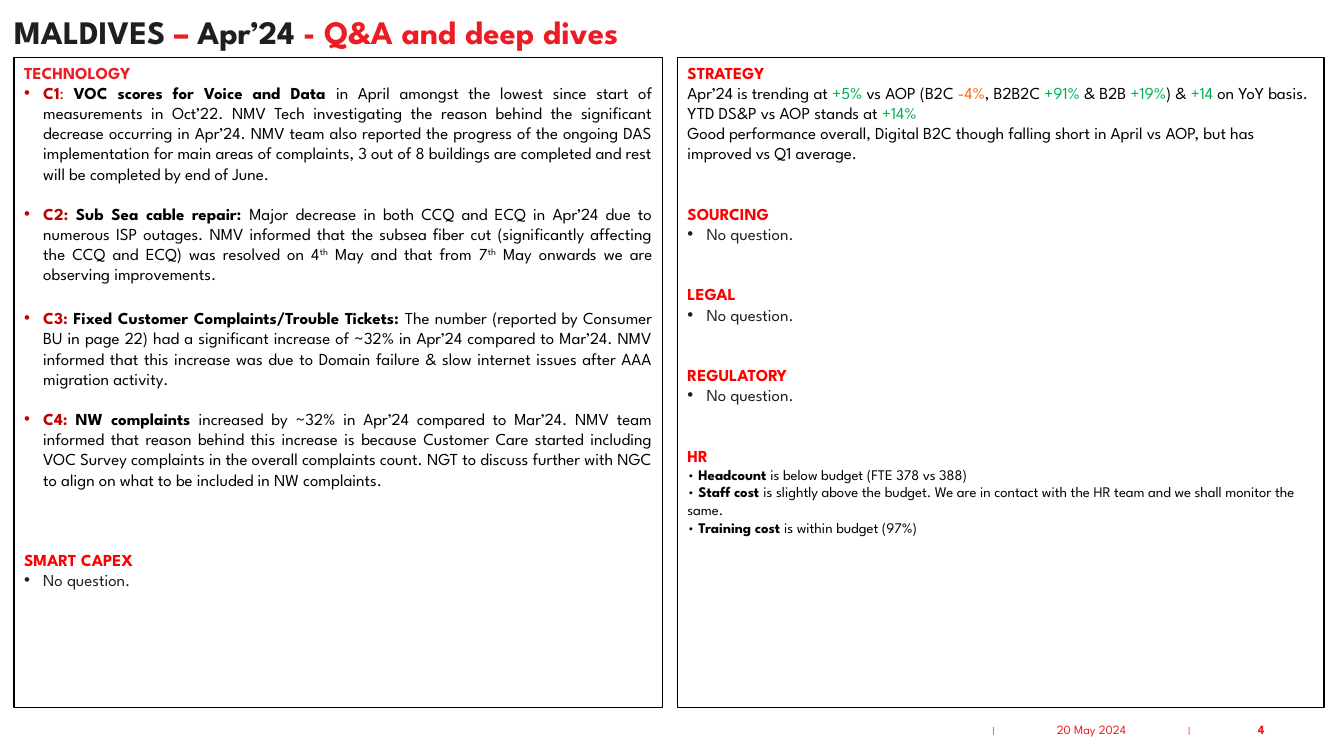
"""Build the Maldives questions and deep dives slide."""
from dataclasses import dataclass

from lxml.etree import SubElement
from pptx import Presentation
from pptx.dml.color import RGBColor
from pptx.enum.shapes import MSO_SHAPE
from pptx.enum.text import MSO_ANCHOR, PP_ALIGN
from pptx.oxml.ns import qn
from pptx.util import Inches, Pt


@dataclass(frozen=True)
class Theme:
    font: str = "League Spartan"
    plain: str = "Arial"
    white: str = "FFFFFF"
    black: str = "000000"
    ink: str = "221E20"
    brand: str = "ED1C24"
    red: str = "FF0000"
    dark: str = "C00000"
    green: str = "00B050"
    orange: str = "FF6600"
    title: float = 23.4
    body: float = 12
    small: float = 10.5
    foot: float = 9
    tick: float = 6
    line: float = 14.4
    border: float = 1.25
    indent: float = 0.19


class Page:
    def __init__(self, deck, theme):
        self.deck, self.theme = deck, theme
        self.slide = deck.slides.add_slide(deck.slide_layouts[6])

    def place(self, left, top, width, height):
        wide, high = self.deck.slide_width / 100, self.deck.slide_height / 100
        return [int(share * unit) for share, unit in
                zip((left, top, width, height), (wide, high, wide, high))]

    def fill_text(self, para, runs, size, font=None):
        for text, color, *marks in runs:
            run = para.add_run()
            run.text = text
            run.font.name = font or self.theme.font
            run.font.size = Pt(size)
            run.font.bold = "bold" in marks
            run.font.color.rgb = RGBColor.from_string(color)
            if "super" in marks:
                run.font._element.set("baseline", "30000")

    def bullet(self, para):
        props = para._p.get_or_add_pPr()
        props.set("marL", str(Inches(self.theme.indent)))
        props.set("indent", str(-Inches(self.theme.indent)))
        SubElement(props, qn("a:buFont")).set("typeface", self.theme.plain)
        SubElement(props, qn("a:buChar")).set("char", "•")

    def label(self, box, runs, size, align=PP_ALIGN.CENTER, font=None):
        frame = self.slide.shapes.add_textbox(*self.place(*box)).text_frame
        frame.word_wrap = True
        frame.vertical_anchor = MSO_ANCHOR.MIDDLE
        para = frame.paragraphs[0]
        para.alignment = align
        self.fill_text(para, runs, size, font)
        return frame

    def panel(self, box, items):
        shape = self.slide.shapes.add_shape(MSO_SHAPE.RECTANGLE, *self.place(*box))
        shape.shadow.inherit = False
        shape.fill.solid()
        shape.fill.fore_color.rgb = RGBColor.from_string(self.theme.white)
        shape.line.color.rgb = RGBColor.from_string(self.theme.black)
        shape.line.width = Pt(self.theme.border)
        frame = shape.text_frame
        frame.word_wrap = True
        frame.vertical_anchor = MSO_ANCHOR.TOP
        for index, item in enumerate(items):
            para = frame.add_paragraph() if index else frame.paragraphs[0]
            para.alignment = item.get("align", PP_ALIGN.LEFT)
            para.space_before = Pt(item.get("gap", 0) * self.theme.line)
            if item.get("dot"):
                self.bullet(para)
            self.fill_text(para, item["runs"], item.get("size", self.theme.body))


def head(text, color, gap=0):
    return {"runs": [(text, color, "bold")], "gap": gap}


def point(*runs, gap=0, align=PP_ALIGN.JUSTIFY):
    return {"runs": runs, "gap": gap, "align": align, "dot": True}


def main():
    t = Theme()
    deck = Presentation()
    deck.slide_width, deck.slide_height = Inches(13.33), Inches(7.5)
    page = Page(deck, t)

    for left, width in ((72.62, 2.63), (87.32, 2.33)):
        page.label((left, 95.2, width, 2.67), [("|", t.brand)], t.tick, font=t.plain)
    page.label((74.04, 93.87, 14.33, 5.33), [("20 May 2024", t.brand)], t.foot)
    page.label((88.37, 93.87, 6.45, 5.33), [("4", t.brand, "bold")], t.foot, PP_ALIGN.RIGHT)

    none = point(("No question.", t.ink), align=PP_ALIGN.LEFT)
    page.panel((1.05, 7.6, 48.24, 86), [
        head("TECHNOLOGY", t.brand),
        point(
            ("C1", t.dark, "bold"), (": ", t.dark),
            ("VOC scores for Voice and Data ", t.black, "bold"),
            ("in April amongst the lowest since start of measurements in Oct’22. "
             "NMV Tech investigating the reason behind the significant decrease "
             "occurring in Apr’24. NMV team also reported the progress of the ongoing "
             "DAS implementation for main areas of complaints, 3 out of 8 buildings "
             "are completed and rest will be completed by end of June.", t.black)),
        point(
            ("C2: ", t.dark, "bold"), ("Sub Sea cable repair: ", t.black, "bold"),
            ("Major decrease in both CCQ and ECQ in Apr’24 due to numerous ISP "
             "outages. NMV informed that the subsea fiber cut (significantly "
             "affecting the CCQ and ECQ) was resolved on 4", t.black),
            ("th", t.black, "super"), (" May and that from 7", t.black),
            ("th", t.black, "super"),
            (" May onwards we are observing improvements.", t.black), gap=1),
        point(
            ("C3: ", t.dark, "bold"),
            ("Fixed Customer Complaints/Trouble Tickets: ", t.black, "bold"),
            ("The number (reported by Consumer BU in page 22) had a significant "
             "increase of ~32% in Apr’24 compared to Mar’24. NMV informed that this "
             "increase was due to Domain failure & slow internet issues after AAA "
             "migration activity.", t.black), gap=1.18),
        point(
            ("C4:", t.dark, "bold"), (" ", t.dark),
            ("NW complaints ", t.black, "bold"),
            ("increased by ~32% in Apr’24 compared to Mar’24. NMV team informed that "
             "reason behind this increase is because Customer Care started including "
             "VOC Survey complaints in the overall complaints count. NGT to discuss "
             "further with NGC to align on what to be included in NW complaints.",
             t.black), gap=1),
        head("SMART CAPEX", t.red, 3),
        none,
    ])

    title = page.label((1.05, 1.47, 98.8, 6), [
        ("MALDIVES ", t.ink, "bold"), ("– ", t.brand, "bold"),
        ("Apr’24", t.ink, "bold"), (" - Q&A and deep dives", t.brand, "bold"),
    ], t.title, PP_ALIGN.LEFT)
    title.margin_left = 0
    title.paragraphs[0].line_spacing = 0.9

    items = [
        head("STRATEGY", t.red),
        {"runs": [
            ("Apr’24 is trending at ", t.black), ("+5% ", t.green),
            ("vs AOP (B2C ", t.black), ("-4%", t.orange),
            (", B2B2C ", t.black), ("+91%", t.green),
            (" & B2B ", t.black), ("+19%", t.green),
            (") & ", t.black), ("+14", t.green),
            (" on YoY basis. YTD DS&P vs AOP stands at ", t.black), ("+14%", t.green)]},
        {"runs": [("Good performance overall, Digital B2C though falling short in "
                   "April vs AOP, but has improved vs Q1 average.", t.black)]},
    ]
    for name in ("SOURCING", "LEGAL", "REGULATORY"):
        items += [head(name, t.red, 2), none]
    items.append(head("HR", t.red, 2))
    for topic, text in (
        ("Headcount ", "is below budget (FTE 378 vs 388)"),
        ("Staff cost ", "is slightly above the budget. We are in contact with the HR "
                        "team and we shall monitor the same."),
        ("Training cost ", "is within budget (97%)"),
    ):
        items.append({"size": t.small, "runs": [
            ("• ", t.black), (topic, t.black, "bold"), (text, t.black)]})
    page.panel((50.41, 7.6, 48.09, 86), items)

    deck.save("out.pptx")


if __name__ == "__main__":
    main()
